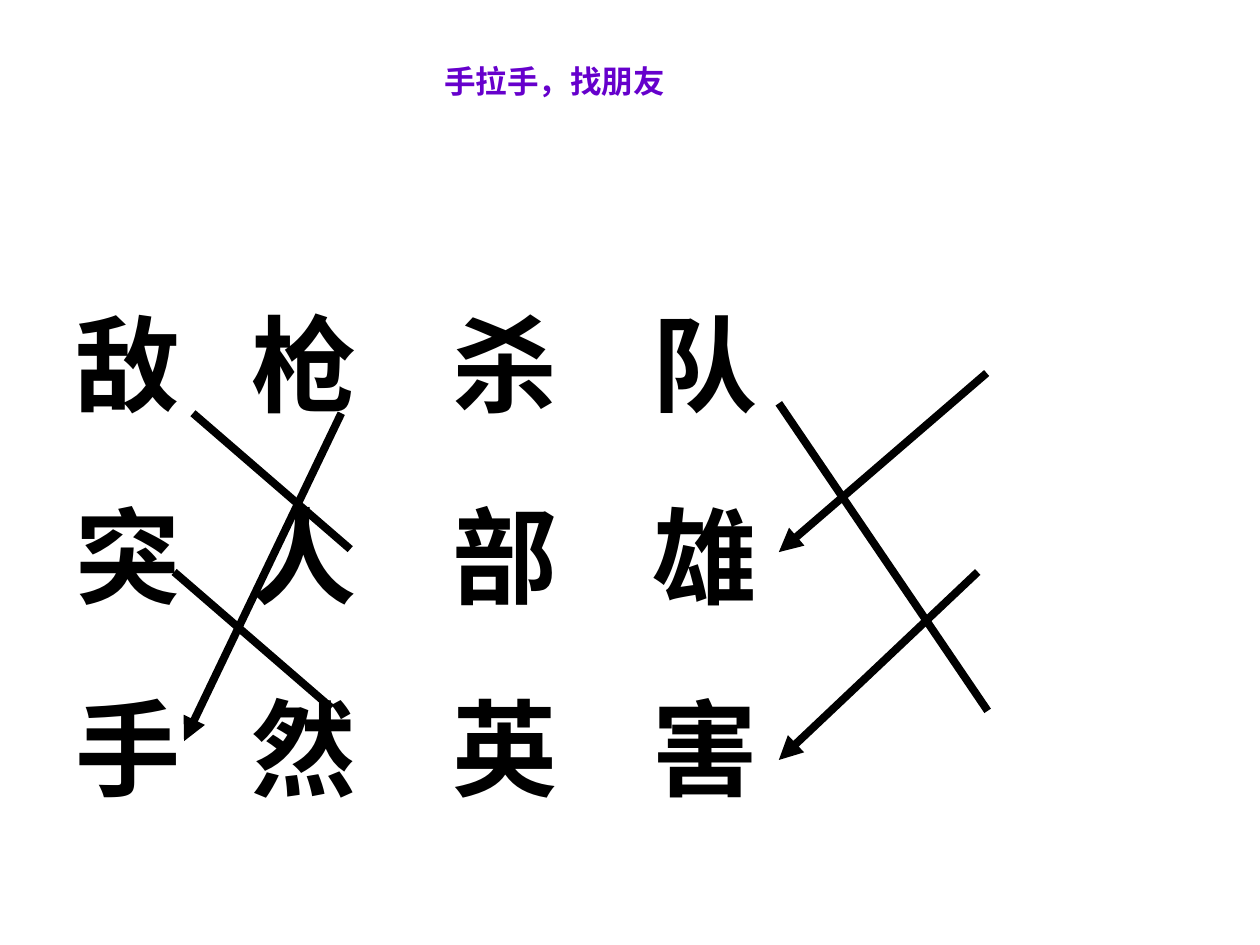
"""Build a matching exercise that links Chinese characters into words."""
from lxml import etree
from pptx import Presentation
from pptx import util as u
from pptx.dml.color import RGBColor
from pptx.enum import shapes, text
from pptx.oxml import ns

FONT = "Noto Sans CJK SC"
ROWS = ["敌枪杀队", "突人部雄", "手然英害"]
COLUMN_STOPS = [3.56 + 4.04 * step for step in range(3)]
LINKS = [
    (3.89, 8.33, 7.06, 11.07, False),
    (3.51, 11.53, 6.68, 14.27, False),
    (15.7, 8.13, 19.91, 14.33, False),
    (19.71, 11.53, 15.7, 15.32, True),
    (19.89, 7.52, 15.7, 11.13, True),
    (6.88, 8.33, 3.71, 14.94, True),
]


def color(value):
    return RGBColor.from_string(value)


def style(para, size, value):
    para.font.size = u.Pt(size)
    para.font.bold = True
    para.font.color.rgb = color(value)
    para.font.name = FONT
    etree.SubElement(para.font._element, ns.qn("a:ea"), typeface=FONT)


deck = Presentation()
deck.slide_width, deck.slide_height = u.Cm(25.4), u.Cm(19.05)
page = deck.slides.add_slide(deck.slide_layouts[6])

title = page.shapes.add_textbox(u.Cm(8.71), u.Cm(1.12), u.Cm(6.6), u.Cm(4.62))
title.text_frame.word_wrap = False
title.text_frame.text = "手拉手，找朋友"
style(title.text_frame.paragraphs[0], 18, "6600CC")

grid = page.shapes.add_textbox(u.Cm(1.27), u.Cm(5.92), u.Cm(26.44), u.Cm(10.52))
grid.text_frame.word_wrap = True
grid.text_frame.auto_size = text.MSO_AUTO_SIZE.SHAPE_TO_FIT_TEXT
grid.text_frame.text = "\n".join("\t".join(row) for row in ROWS)
for index, para in enumerate(grid.text_frame.paragraphs):
    if index:
        para.space_before = u.Pt(37.5)
    tabs = etree.SubElement(para._p.get_or_add_pPr(), ns.qn("a:tabLst"))
    for stop in COLUMN_STOPS:
        etree.SubElement(tabs, ns.qn("a:tab"), pos=str(u.Cm(stop)), algn="l")
    style(para, 60, "000000")

for x1, y1, x2, y2, has_arrow in LINKS:
    link = page.shapes.add_connector(
        shapes.MSO_CONNECTOR.STRAIGHT, u.Cm(x1), u.Cm(y1), u.Cm(x2), u.Cm(y2))
    link.line.color.rgb = color("000000")
    link.line.width = u.Pt(4.5)
    if has_arrow:
        etree.SubElement(link.line._get_or_add_ln(), ns.qn("a:tailEnd"), type="triangle")
    etree.SubElement(link._element.spPr, ns.qn("a:effectLst"))

deck.save("out.pptx")
